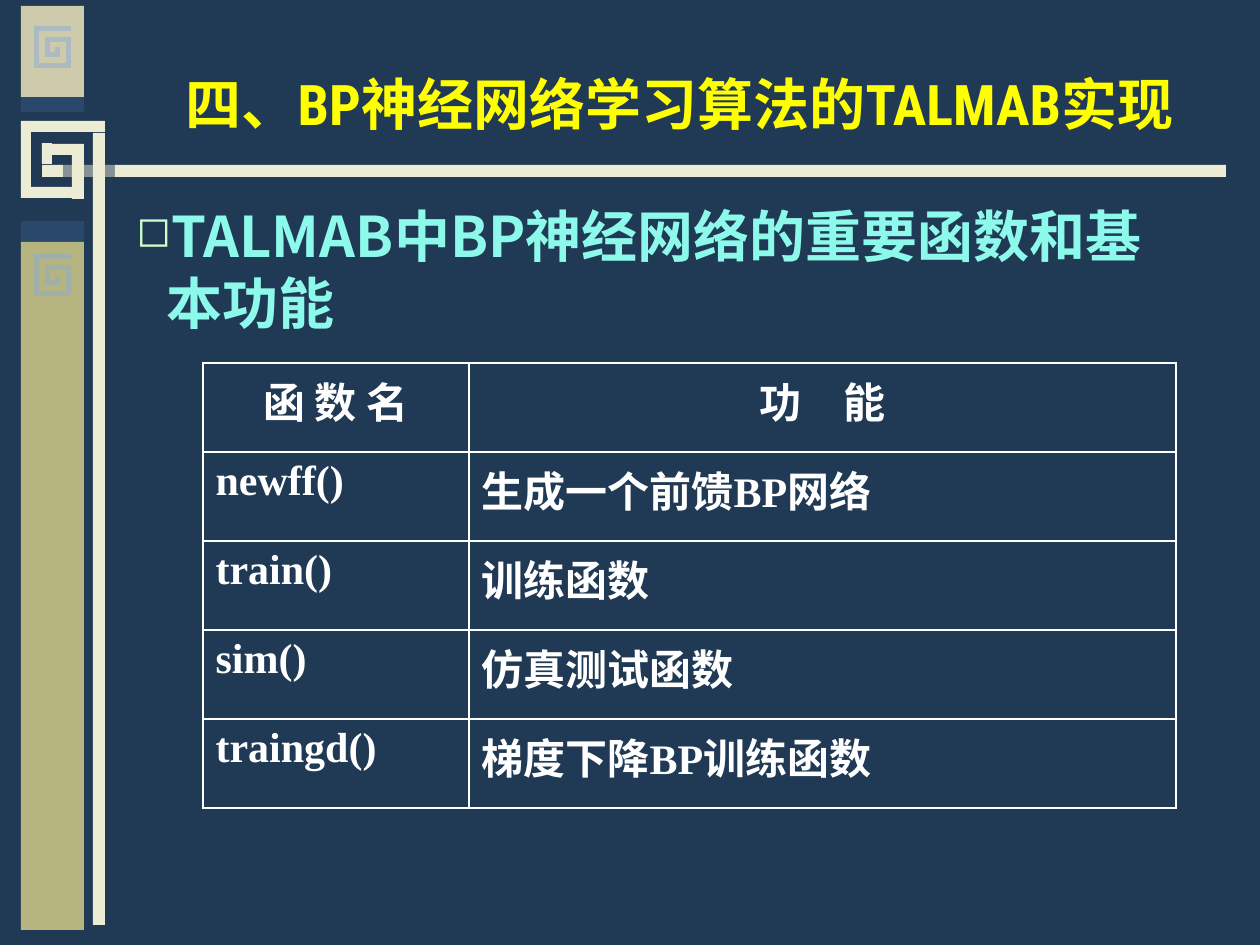
import pptx
import pptx.dml.color
import pptx.enum.shapes
import pptx.enum.text
import pptx.oxml.ns
import pptx.util
from lxml import etree

EMU_PER_PX = 914400 / 126
COLORS = {
    "background": "203954", "band": "29486B", "sand": "CDCBAB", "olive": "B6B57F",
    "cream": "ECEBD3", "spiral": "8BADD3", "title": "FFFF00", "heading": "8DF9EA",
    "bullet": "CCFFCC", "white": "FFFFFF",
}
CJK_FONT = "Noto Sans CJK SC"
ALIGN = pptx.enum.text.PP_ALIGN
ANCHOR = pptx.enum.text.MSO_ANCHOR

COLUMN_BARS = [
    ("band", (21, 97, 63, 15)), ("sand", (21, 6, 63, 91)),
    ("band", (21, 221, 63, 21)), ("olive", (21, 242, 63, 688)),
]
KEY_BARS = [
    (42, 143, 10, 21), (42, 165, 21, 12), (51, 144, 33, 11), (21, 187, 52, 11),
    (21, 121, 10, 66), (30, 121, 75, 11), (93, 133, 12, 792), (115, 165, 1111, 12),
    (72, 155, 12, 44),
]
SPIRAL_BARS = [
    (11, 26, 10, 5), (21, 21, 5, 10), (11, 11, 5, 15), (16, 11, 21, 5),
    (32, 16, 5, 26), (0, 37, 32, 5), (0, 0, 5, 37), (5, 0, 32, 5),
]
FUNCTIONS = [
    ("函 数 名", "功　能"),
    ("newff()", "生成一个前馈BP网络"),
    ("train()", "训练函数"),
    ("sim()", "仿真测试函数"),
    ("traingd()", "梯度下降BP训练函数"),
]


def px(length):
    return pptx.util.Emu(round(length * EMU_PER_PX))


def rgb(color):
    return pptx.dml.color.RGBColor.from_string(COLORS[color])


def add_child(parent, tag, **attributes):
    child = etree.SubElement(parent, pptx.oxml.ns.qn(tag))
    for key, value in attributes.items():
        child.set(key, str(value))
    return child


def add_bar(slide, box, color, opacity=100):
    bar = slide.shapes.add_shape(
        pptx.enum.shapes.MSO_SHAPE.RECTANGLE, *map(px, box))
    bar.shadow.inherit = False
    bar.line.fill.background()
    bar.fill.solid()
    bar.fill.fore_color.rgb = rgb(color)
    if opacity < 100:
        srgb = bar.fill._xPr.find(".//" + pptx.oxml.ns.qn("a:srgbClr"))
        add_child(srgb, "a:alpha", val=opacity * 1000)


def add_spiral(slide, left, top):
    for x, y, width, height in SPIRAL_BARS:
        add_bar(slide, (left + x, top + y, width, height), "spiral", 50)


def write_text(frame, text, size, font, color, align=ALIGN.LEFT):
    paragraph = frame.paragraphs[0]
    paragraph.alignment = align
    run = paragraph.add_run()
    run.text = text
    run.font.size = pptx.util.Pt(size)
    run.font.bold = True
    run.font.name = font
    run.font.color.rgb = rgb(color)
    add_child(run.font._element, "a:ea", typeface=CJK_FONT)
    return paragraph


def add_text_frame(slide, box, anchor):
    frame = slide.shapes.add_textbox(*map(px, box)).text_frame
    frame.word_wrap = True
    frame.vertical_anchor = anchor
    return frame


def add_bullet(paragraph, char, color, indent, percent):
    properties = paragraph._p.get_or_add_pPr()
    properties.set("marL", str(px(indent)))
    properties.set("indent", str(-px(indent)))
    bullet_color = add_child(properties, "a:buClr")
    add_child(bullet_color, "a:srgbClr", val=COLORS[color])
    add_child(properties, "a:buSzPct", val=percent * 1000)
    add_child(properties, "a:buChar", char=char)


def add_borders(cell, color, width):
    properties = cell._tc.get_or_add_tcPr()
    for side in ("a:lnL", "a:lnR", "a:lnT", "a:lnB"):
        line = add_child(properties, side, w=pptx.util.Pt(width))
        add_child(add_child(line, "a:solidFill"), "a:srgbClr", val=COLORS[color])


def add_function_table(slide, left, top, column_widths, row_height):
    rows, columns = len(FUNCTIONS), len(column_widths)
    table = slide.shapes.add_table(
        rows, columns, px(left), px(top),
        px(sum(column_widths)), px(rows * row_height)).table
    table.first_row = False
    table.horz_banding = False
    for column, width in zip(table.columns, column_widths):
        column.width = px(width)
    for index, entries in enumerate(FUNCTIONS):
        table.rows[index].height = px(row_height)
        for column, text in enumerate(entries):
            cell = table.cell(index, column)
            add_borders(cell, "white", 1.08)
            cell.fill.background()
            write_text(cell.text_frame, text, 24, "Times New Roman", "white",
                       align=ALIGN.LEFT if index else ALIGN.CENTER)


def main():
    deck = pptx.Presentation()
    deck.slide_width, deck.slide_height = px(1260), px(945)
    slide = deck.slides.add_slide(deck.slide_layouts[6])
    slide.background.fill.solid()
    slide.background.fill.fore_color.rgb = rgb("background")

    for color, box in COLUMN_BARS:
        add_bar(slide, box, color)
    for box in KEY_BARS:
        add_bar(slide, box, "cream")
    add_bar(slide, (63, 165, 52, 12), "cream", 50)
    for top in (26, 254):
        add_spiral(slide, 34, top)

    title = add_text_frame(slide, (144, 24, 1071, 119), ANCHOR.BOTTOM)
    write_text(title, "四、BP神经网络学习算法的TALMAB实现", 32,
               "Roboto Condensed", "title", align=ALIGN.CENTER)
    heading = add_text_frame(slide, (124, 195, 1075, 567), ANCHOR.TOP)
    paragraph = write_text(heading, "TALMAB中BP神经网络的重要函数和基本功能", 32,
                           CJK_FONT, "heading")
    add_bullet(paragraph, "◻", "bullet", indent=30, percent=75)

    add_function_table(slide, 203, 363, (266, 707), 89)
    deck.save("out.pptx")


if __name__ == "__main__":
    main()
